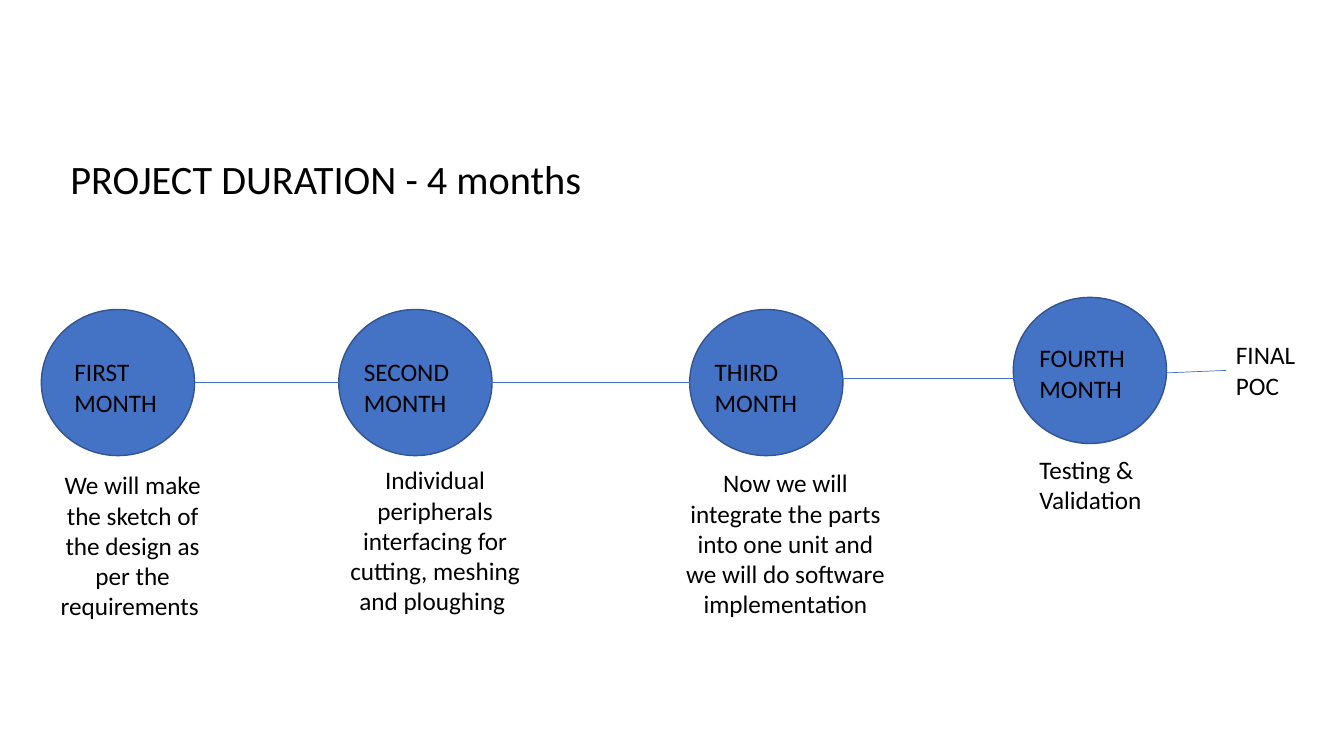
from lxml.etree import SubElement
from pptx import Presentation
from pptx.dml.color import RGBColor
from pptx.enum.shapes import MSO_CONNECTOR, MSO_SHAPE
from pptx.enum.text import MSO_ANCHOR, PP_ALIGN
from pptx.oxml.ns import qn
from pptx.util import Pt

BLUE = RGBColor(0x44, 0x72, 0xC4)
NAVY = RGBColor(0x32, 0x54, 0x91)
BLACK = RGBColor(0, 0, 0)

PX = 9144
CIRCLE_W, CIRCLE_H, LABEL_H = 152, 145, 71

CIRCLES = [(41, 307), (336, 307), (684, 307), (1005, 295)]
LINES = [(193, 379, 336, 379), (488, 379, 684, 379), (827, 375, 1023, 375)]
LABELS = [
    ("FIRST MONTH", 64, 349, 104),
    ("SECOND MONTH", 351, 349, 128),
    ("THIRD MONTH", 699, 349, 122),
    ("FOURTH MONTH", 1021, 335, 130),
    ("Testing & Validation", 1021, 446, 146),
]
TASKS = [
    ("We will make the sketch of the design as per the requirements ", 44, 461, 175, 162),
    ("Individual peripherals interfacing for cutting, meshing and ploughing ", 327, 456, 209, 161),
    ("Now we will integrate the parts into one unit and we will do software implementation",
     670, 459, 218, 192),
]


class Slide:
    """Draws styled elements on one slide, with lengths in px."""

    def __init__(self, prs, font="Calibri"):
        self.font = font
        self.s = prs.slides.add_slide(prs.slide_layouts[6])

    def circle(self, x, y):
        sp = self.s.shapes.add_shape(
            MSO_SHAPE.OVAL, x * PX, y * PX, CIRCLE_W * PX, CIRCLE_H * PX)
        sp.shadow.inherit = False
        sp.fill.solid()
        sp.fill.fore_color.rgb = BLUE
        sp.line.color.rgb = NAVY
        sp.line.width = Pt(1)
        return sp

    def line(self, x1, y1, x2, y2):
        cxn = self.s.shapes.add_connector(
            MSO_CONNECTOR.STRAIGHT, x1 * PX, y1 * PX, x2 * PX, y2 * PX)
        cxn.line.color.rgb = BLUE
        cxn.line.width = Pt(0.5)
        SubElement(cxn._element.spPr, qn("a:effectLst"))
        return cxn

    def text(self, text, x, y, w, h=LABEL_H, size=18, align=PP_ALIGN.LEFT,
             anchor=MSO_ANCHOR.TOP):
        sp = self.s.shapes.add_textbox(x * PX, y * PX, w * PX, h * PX)
        tf = sp.text_frame
        tf.word_wrap = True
        tf.vertical_anchor = anchor
        p = tf.paragraphs[0]
        p.alignment = align
        r = p.add_run()
        r.text = text
        r.font.name = self.font
        r.font.size = Pt(size)
        r.font.color.rgb = BLACK
        return sp


def main():
    prs = Presentation()
    prs.slide_width, prs.slide_height = 1333 * PX, 750 * PX
    s = Slide(prs)
    s.text("PROJECT DURATION - 4 months", 60, 150, 1150, 54, size=28.8,
           anchor=MSO_ANCHOR.MIDDLE)
    for circle in CIRCLES:
        s.circle(*circle)
    for line in LINES:
        s.line(*line)
    final = s.text("FINAL POC", 1216, 332, 117)
    s.line(1131, 371, 1216, 367).end_connect(final, 1)
    for label in LABELS:
        s.text(*label)
    for task in TASKS:
        s.text(*task, align=PP_ALIGN.CENTER)
    prs.save("out.pptx")


if __name__ == "__main__":
    main()
